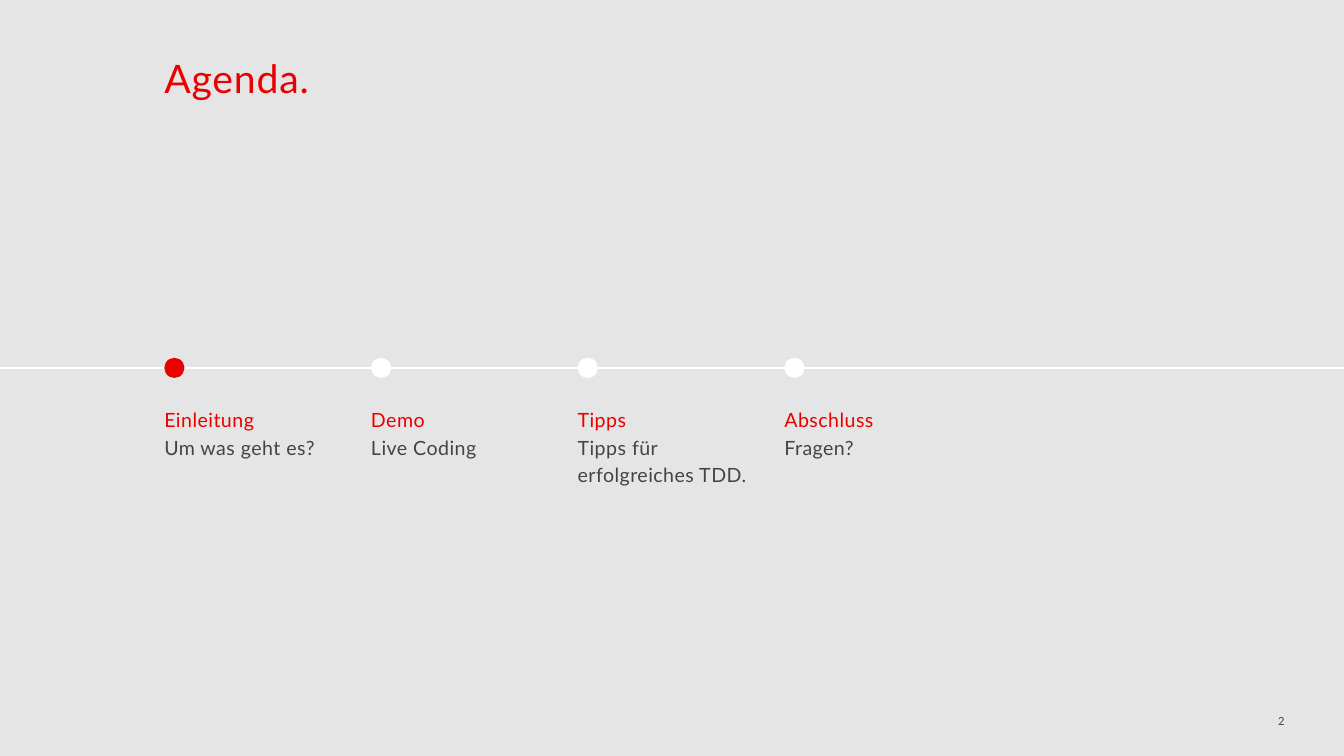
from dataclasses import dataclass

from lxml import etree
from pptx import Presentation
from pptx.dml.color import RGBColor
from pptx.enum.shapes import MSO_CONNECTOR, MSO_SHAPE
from pptx.enum.text import MSO_ANCHOR, PP_ALIGN
from pptx.oxml.ns import qn
from pptx.util import Emu, Pt

LINE = MSO_CONNECTOR.STRAIGHT
OVAL = MSO_SHAPE.OVAL
TOP = MSO_ANCHOR.TOP
LEFT, RIGHT = PP_ALIGN.LEFT, PP_ALIGN.RIGHT

PX = 9144  # EMU per px, 100 px to the inch
SLIDE_W, SLIDE_H = 1333, 750
FONT = "Lato"
COLORS = {"bg": "E5E5E5", "red": "EB0000", "text": "444444", "white": "FFFFFF"}

# Timeline geometry
START_X, STEP_X = 163, 205
LINE_Y, DOT = 365, 20
LABEL_Y, LABEL_W, LABEL_H = 401, 177, 300


@dataclass(frozen=True)
class Style:
    size: int
    color: str
    spacing: int  # hundredths of a point


@dataclass(frozen=True)
class Milestone:
    heading: str
    detail: str
    dot_color: str = "white"


TITLE = Style(28, "red", 60)
HEADING = Style(14, "red", 30)
DETAIL = Style(14, "text", 30)
PAGE_NUMBER = Style(8, "text", 10)

MILESTONES = [
    Milestone("Einleitung", "Um was geht es?", "red"),
    Milestone("Demo", "Live Coding"),
    Milestone("Tipps", "Tipps für erfolgreiches TDD."),
    Milestone("Abschluss", "Fragen?"),
]


def px(n: int) -> Emu:
    return Emu(n * PX)


def rgb(name: str) -> RGBColor:
    return RGBColor.from_string(COLORS[name])


def add_text(shapes, box: tuple[int, int, int, int],
             lines: list[tuple[str, Style]], align=LEFT,
             line_spacing: float = 1.0) -> None:
    tf = shapes.add_textbox(*map(px, box)).text_frame
    tf.word_wrap = True
    tf.vertical_anchor = TOP
    tf.margin_left = tf.margin_right = tf.margin_top = tf.margin_bottom = 0
    for i, (text, style) in enumerate(lines):
        p = tf.add_paragraph() if i else tf.paragraphs[0]
        p.alignment = align
        p.line_spacing = line_spacing
        r = p.add_run()
        r.text = text
        r.font.name = FONT
        r.font.size = Pt(style.size)
        r.font.color.rgb = rgb(style.color)
        r.font._element.set("spc", str(style.spacing))


def add_timeline(shapes) -> None:
    line = shapes.add_connector(LINE, 0, px(LINE_Y), px(SLIDE_W), px(LINE_Y))
    line.line.color.rgb = rgb("white")
    line.line.width = Pt(1)
    etree.SubElement(line._element.spPr, qn("a:effectLst"))


def add_milestone(shapes, x: int, item: Milestone) -> None:
    group = shapes.add_group_shape().shapes
    add_text(group, (x, LABEL_Y, LABEL_W, LABEL_H),
             [(item.heading, HEADING), (item.detail, DETAIL)],
             line_spacing=1.17)
    dot = group.add_shape(OVAL, px(x), px(LINE_Y - DOT // 2), px(DOT), px(DOT))
    dot.shadow.inherit = False
    dot.fill.solid()
    dot.fill.fore_color.rgb = rgb(item.dot_color)
    dot.line.fill.background()


def main() -> None:
    prs = Presentation()
    prs.slide_width, prs.slide_height = px(SLIDE_W), px(SLIDE_H)
    s = prs.slides.add_slide(prs.slide_layouts[6])
    s.background.fill.solid()
    s.background.fill.fore_color.rgb = rgb("bg")

    # Title and page number
    add_text(s.shapes, (163, 54, 1008, 93), [("Agenda.", TITLE)])
    add_text(s.shapes, (1192, 709, 82, 14), [("2", PAGE_NUMBER)], RIGHT)

    # Timeline with evenly spaced milestones
    add_timeline(s.shapes)
    for i, item in enumerate(MILESTONES):
        add_milestone(s.shapes, START_X + i * STEP_X, item)

    prs.save("out.pptx")


if __name__ == "__main__":
    main()
